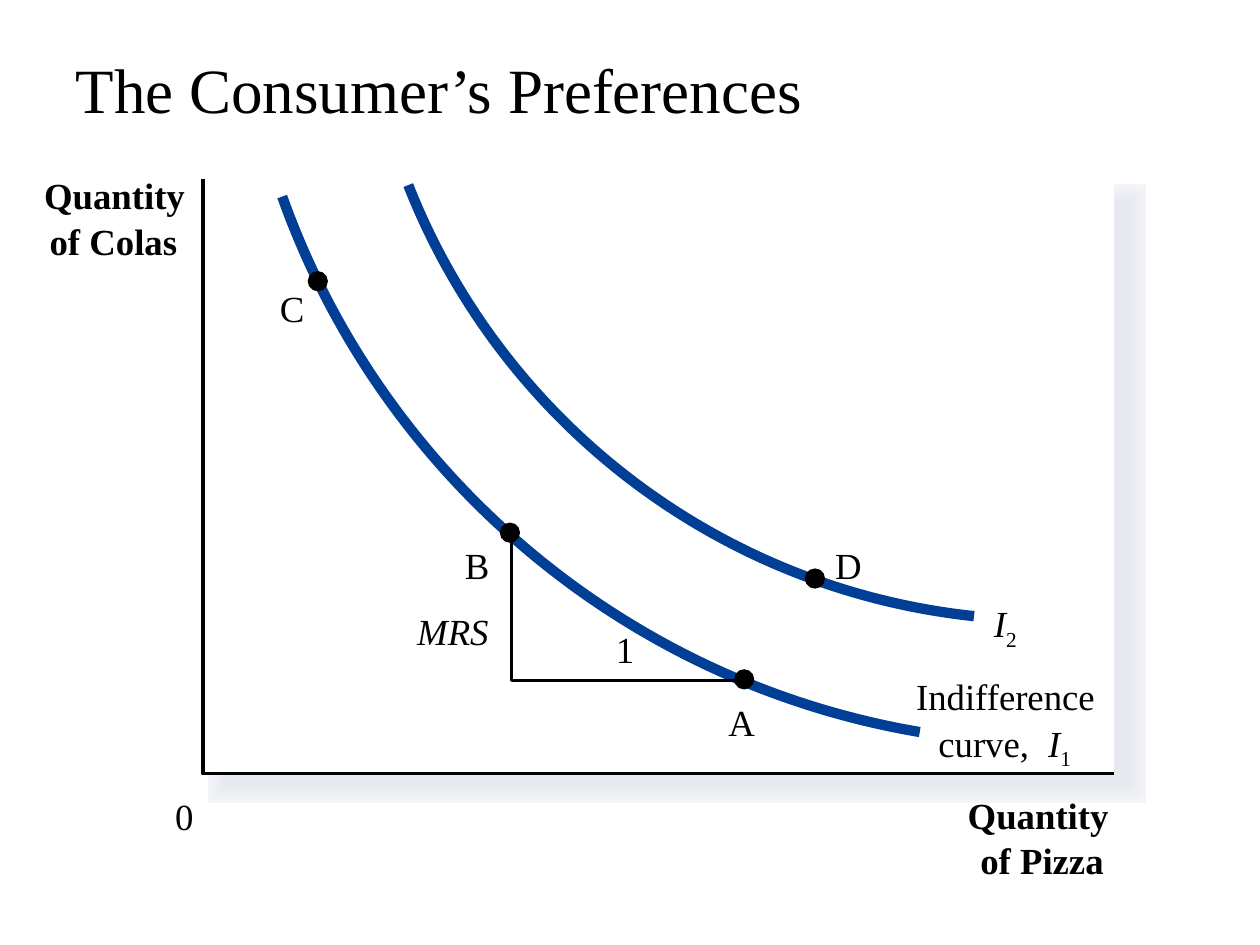
"""Build a slide of indifference curves showing the consumer's preferences."""
from lxml import etree
from pptx import Presentation
from pptx.dml.color import RGBColor
from pptx.enum.shapes import MSO_SHAPE
from pptx.enum.text import MSO_ANCHOR, MSO_AUTO_SIZE, PP_ALIGN
from pptx.oxml.ns import qn
from pptx.util import Pt

BLACK = RGBColor(0x00, 0x00, 0x00)
WHITE = RGBColor(0xFF, 0xFF, 0xFF)
BLUE = RGBColor(0x00, 0x3F, 0x95)
SHADES = [
    (RGBColor(0xF3, 0xF6, 0xF9), 21.5),
    (RGBColor(0xF2, 0xF4, 0xF8), 19.5),
    (RGBColor(0xF1, 0xF4, 0xF7), 17.5),
    (RGBColor(0xF0, 0xF2, 0xF5), 15.63),
    (RGBColor(0xEE, 0xF1, 0xF4), 13.63),
    (RGBColor(0xED, 0xEF, 0xF3), 11.75),
    (RGBColor(0xEB, 0xEE, 0xF2), 9.75),
    (RGBColor(0xEA, 0xEC, 0xF1), 7.75),
    (RGBColor(0xE9, 0xEB, 0xF0), 5.88),
    (RGBColor(0xE7, 0xEA, 0xEF), 3.88),
    (RGBColor(0xE6, 0xE9, 0xEF), 2),
]
FONT = "Times New Roman"
DOT = 10.8


def add_filled(kind, left, top, width, height, color, line_width):
    sp = slide.shapes.add_shape(kind, Pt(left), Pt(top), Pt(width), Pt(height))
    sp.shadow.inherit = False
    sp.fill.solid()
    sp.fill.fore_color.rgb = color
    if line_width:
        sp.line.color.rgb = color
        sp.line.width = Pt(line_width)
        etree.SubElement(sp.line._get_or_add_ln(), qn("a:miter"), lim="800000")
    else:
        sp.line.fill.background()


def add_path(points, color, line_width):
    start, *rest = [(Pt(x), Pt(y)) for x, y in points]
    builder = slide.shapes.build_freeform(*start)
    builder.add_line_segments(rest, close=False)
    sp = builder.convert_to_shape()
    sp.shadow.inherit = False
    sp.fill.background()
    sp.line.color.rgb = color
    sp.line.width = Pt(line_width)
    return sp


prs = Presentation()
prs.slide_width, prs.slide_height = Pt(720), Pt(540)
slide = prs.slides.add_slide(prs.slide_layouts[5])

title = slide.shapes.title
title.left, title.top, title.width, title.height = Pt(36), Pt(8), Pt(648), Pt(90)
tf = title.text_frame
tf.vertical_anchor = MSO_ANCHOR.MIDDLE
p = tf.paragraphs[0]
p.alignment = PP_ALIGN.LEFT
p.line_spacing = 0.9
r = p.add_run()
r.text = "The Consumer’s Preferences"
r.font.name, r.font.size, r.font.color.rgb = FONT, Pt(36), BLACK

for shade, line_width in SHADES:
    add_filled(MSO_SHAPE.RECTANGLE, 129.6, 116, 514.8, 332, shade, line_width)
add_filled(MSO_SHAPE.RECTANGLE, 116, 102.2, 520.5, 339.8, WHITE, 0)
add_path([(116, 102.2), (116, 442), (636.5, 442)], BLACK, 2)

curves = [
    [(525.6, 418.3), (355.7, 389.5), (217.4, 270), (161.3, 112.3)],
    [(556.6, 352.1), (408.2, 336.2), (285.8, 239), (233.3, 105.8)],
]
for curve in curves:
    sp = add_path(curve, BLUE, 5.88)
    path = sp._element.find(".//" + qn("a:path"))
    bezier = etree.SubElement(path, qn("a:cubicBezTo"))
    for segment in path.findall(qn("a:lnTo")):
        bezier.append(segment[0])
        path.remove(segment)

add_path([(292.3, 309.6), (292.3, 388.8), (427.7, 388.8)], BLACK, 2)

for left, top in [(176.2, 155.3), (286, 299), (419.8, 382.8), (460.3, 325.2)]:
    add_filled(MSO_SHAPE.OVAL, left, top, DOT, DOT, BLACK, 0.75)

labels = [
    ("Quantity", "", 553, 453, 94, "bold"),
    ("of Pizza", "", 560.2, 479, 88, "bold"),
    ("Quantity", "", 25.2, 98.8, 94, "bold"),
    ("of Colas", "", 28.4, 125, 91, "bold"),
    ("0", "", 100, 453.6, 21, ""),
    ("Indifference", "", 523.5, 385.2, 119, ""),
    ("curve,", "", 536.2, 411.8, 71, ""),
    ("I", "1", 599, 411.8, 14, "italic"),
    ("I", "2", 568, 343.6, 14, "italic"),
    ("1", "", 352, 358.2, 22, ""),
    ("MRS", "", 238.4, 348, 48, "italic"),
    ("C", "", 160, 163.6, 24, ""),
    ("B", "", 265.6, 310, 23, ""),
    ("A", "", 416.2, 399.8, 23, ""),
    ("D", "", 477.2, 310, 24, ""),
]
for text, subscript, left, top, width, style in labels:
    box = slide.shapes.add_textbox(Pt(left), Pt(top), Pt(width), Pt(28))
    tf = box.text_frame
    tf.margin_left = tf.margin_top = tf.margin_right = tf.margin_bottom = 0
    tf.word_wrap = False
    tf.auto_size = MSO_AUTO_SIZE.SHAPE_TO_FIT_TEXT
    p = tf.paragraphs[0]
    for part in filter(None, (text, subscript)):
        r = p.add_run()
        r.text = part
        r.font.name, r.font.size, r.font.color.rgb = FONT, Pt(21), BLACK
        r.font.bold = style == "bold"
        r.font.italic = style == "italic"
    if subscript:
        r.font.italic = False
        r.font._element.set("baseline", "-25000")

prs.save("out.pptx")
